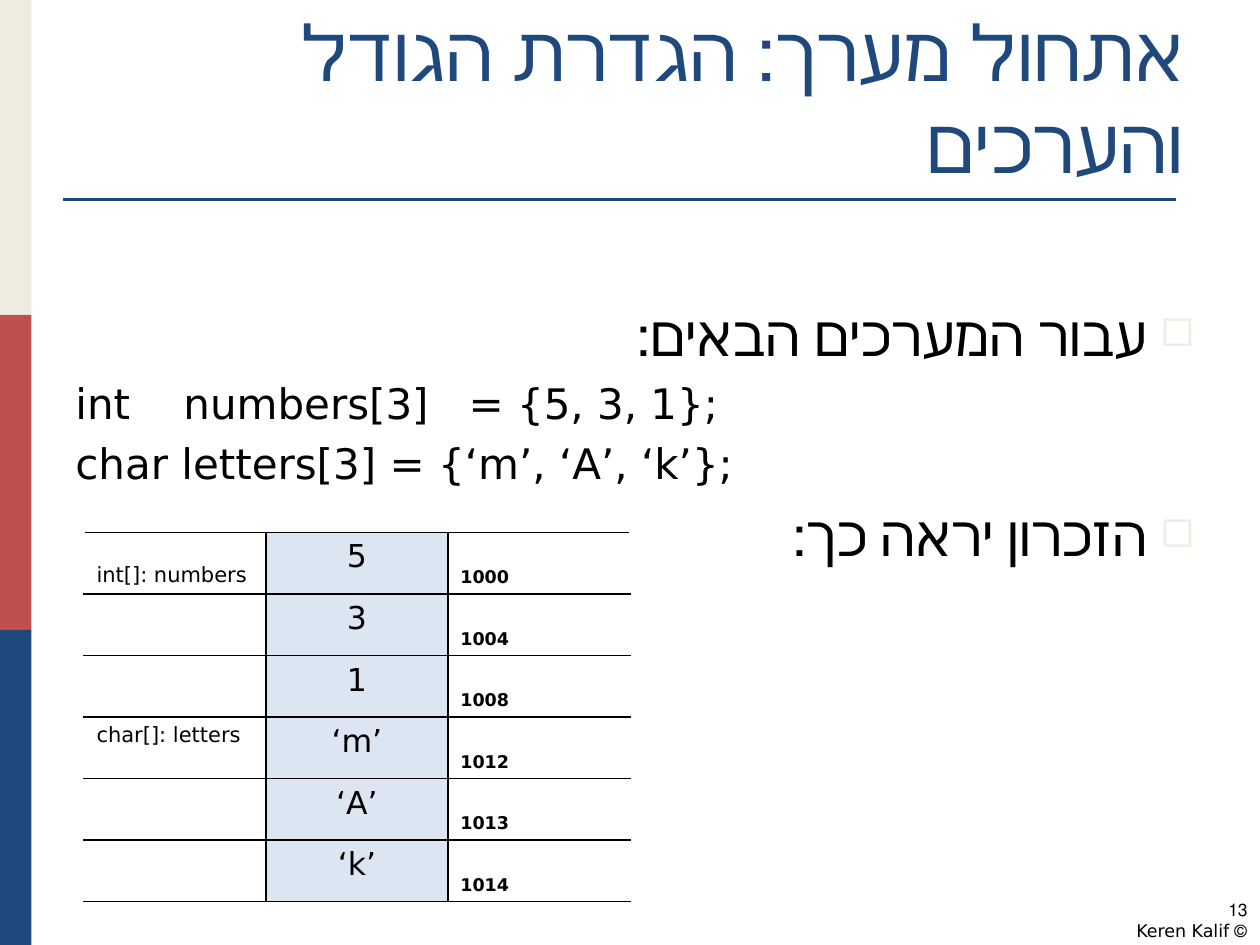
from lxml.etree import SubElement
from pptx import Presentation
from pptx.dml.color import RGBColor
from pptx.enum.shapes import MSO_CONNECTOR, MSO_SHAPE
from pptx.enum.text import MSO_ANCHOR as ANCHOR, MSO_AUTO_SIZE, PP_ALIGN as ALIGN
from pptx.oxml.ns import qn
from pptx.util import Pt

# Content
TITLE = "אתחול מערך: הגדרת הגודל והערכים"
BODY = [  # (kind, text)
    ("bullet", "עבור המערכים הבאים:"),
    ("code", "int    numbers[3]   = {5, 3, 1};"),
    ("code", "char letters[3] = {‘m’, ‘A’, ‘k’};"),
    ("bullet", "הזכרון יראה כך:"),
]
MEMORY = [  # (variable, value, address)
    ("int[]: numbers", "5", "1000"),
    ("", "3", "1004"),
    ("", "1", "1008"),
    ("char[]: letters", "‘m’", "1012"),
    ("", "‘A’", "1013"),
    ("", "‘k’", "1014"),
]
FOOTER = ["13", "© Keren Kalif"]


class Theme:
    navy, red, cream = "1F497D", "C0504D", "EEECE1"
    ink, value_fill = "000000", "DCE6F2"
    title_font, text_font = "Times New Roman", "DejaVu Sans"
    title, bullet, code = 44, 32, 24
    value, variable, address, footer = 18, 12, 10, 10


def rgb(color):
    return RGBColor.from_string(color)


def write(paragraph, text, size, color=Theme.ink, font=Theme.text_font,
          bold=False, align=ALIGN.LEFT, rtl=False, bullet=None, before=0):
    props = paragraph._p.get_or_add_pPr()
    if rtl:
        props.set("rtl", "1")
    if bullet:
        indent = Pt(27)
        props.set("marL", str(indent))
        props.set("indent", str(-indent))
        tint = SubElement(props, qn("a:buClr"))
        SubElement(tint, qn("a:srgbClr")).set("val", Theme.cream)
        SubElement(props, qn("a:buSzPct")).set("val", "75000")
        SubElement(props, qn("a:buChar")).set("char", bullet)
    paragraph.alignment = align
    paragraph.space_before = Pt(before)
    run = paragraph.add_run()
    run.text = text
    run.font.size, run.font.bold, run.font.name = Pt(size), bold, font
    run.font.color.rgb = rgb(color)


def text_box(slide, left, top, width, height):
    frame = slide.shapes.add_textbox(Pt(left), Pt(top), Pt(width), Pt(height)).text_frame
    frame.word_wrap = True
    return frame


def next_paragraph(frame, index):
    return frame.add_paragraph() if index else frame.paragraphs[0]


def border(cell, sides):
    props = cell._tc.get_or_add_tcPr()
    for position, side in enumerate(s for s in "LRTB" if s in sides):
        edge = SubElement(props, qn(f"a:ln{side}"))
        edge.set("w", str(Pt(1)))
        fill = SubElement(edge, qn("a:solidFill"))
        SubElement(fill, qn("a:srgbClr")).set("val", Theme.ink)
        props.insert(position, edge)  # borders precede the fill


def add_frame(slide):
    # Side bands
    band_height = 180
    for i, color in enumerate((Theme.cream, Theme.red, Theme.navy)):
        band = slide.shapes.add_shape(MSO_SHAPE.RECTANGLE, 0, Pt(i * band_height),
                                      Pt(18), Pt(band_height))
        band.shadow.inherit = False
        band.fill.solid()
        band.fill.fore_color.rgb = rgb(color)
        band.line.fill.background()
    # Title rule
    rule = slide.shapes.add_connector(MSO_CONNECTOR.STRAIGHT, Pt(36), Pt(114), Pt(672), Pt(114))
    rule.line.color.rgb = rgb(Theme.navy)
    rule.line.width = Pt(1.5)
    SubElement(rule._element.spPr, qn("a:effectLst"))


def add_title(slide):
    title = slide.shapes.title
    title.left, title.top, title.width, title.height = Pt(36), Pt(21.6), Pt(648), Pt(90)
    frame = title.text_frame
    frame.auto_size = MSO_AUTO_SIZE.NONE
    frame.vertical_anchor = ANCHOR.BOTTOM
    write(frame.paragraphs[0], TITLE, Theme.title, Theme.navy, Theme.title_font,
          align=ALIGN.RIGHT, rtl=True)


def add_body(slide):
    frame = text_box(slide, 36, 168, 653.8, 160)
    formats = {
        "bullet": dict(size=Theme.bullet, align=ALIGN.RIGHT, rtl=True, bullet="◻", before=7.4),
        "code": dict(size=Theme.code, before=5.6),
    }
    for i, (kind, text) in enumerate(BODY):
        style = formats[kind] if i else {**formats[kind], "before": 0}
        write(next_paragraph(frame, i), text, **style)


def add_memory(slide):
    column_width, row_height = 104, 35.15
    columns = [  # text format, borders, fill
        (dict(size=Theme.variable), "RTB", None),
        (dict(size=Theme.value, align=ALIGN.CENTER), "LRTB", Theme.value_fill),
        (dict(size=Theme.address, bold=True), "LTB", None),
    ]
    memory = slide.shapes.add_table(len(MEMORY), len(columns), Pt(48), Pt(304.3),
                                    Pt(column_width * len(columns)),
                                    Pt(row_height * len(MEMORY))).table
    memory.first_row = memory.horz_banding = False
    for column in memory.columns:
        column.width = Pt(column_width)
    for r, entry in enumerate(MEMORY):
        memory.rows[r].height = Pt(row_height)
        for c, (text, (style, sides, fill)) in enumerate(zip(entry, columns)):
            cell = memory.cell(r, c)
            if fill:
                cell.fill.solid()
                cell.fill.fore_color.rgb = rgb(fill)
            else:
                cell.fill.background()
            border(cell, sides)
            if text:
                write(cell.text_frame.paragraphs[0], text, **style)
        memory.cell(r, 2).vertical_anchor = ANCHOR.BOTTOM
    memory.cell(0, 0).vertical_anchor = ANCHOR.BOTTOM


def add_footer(slide):
    frame = text_box(slide, 552, 510, 168, 30)
    for i, text in enumerate(FOOTER):
        write(next_paragraph(frame, i), text, Theme.footer, align=ALIGN.RIGHT, rtl=True)


def main():
    deck = Presentation()
    deck.slide_width, deck.slide_height = Pt(720), Pt(540)
    slide = deck.slides.add_slide(deck.slide_layouts[5])
    for add_part in (add_frame, add_title, add_body, add_memory, add_footer):
        add_part(slide)
    deck.save("out.pptx")


if __name__ == "__main__":
    main()
